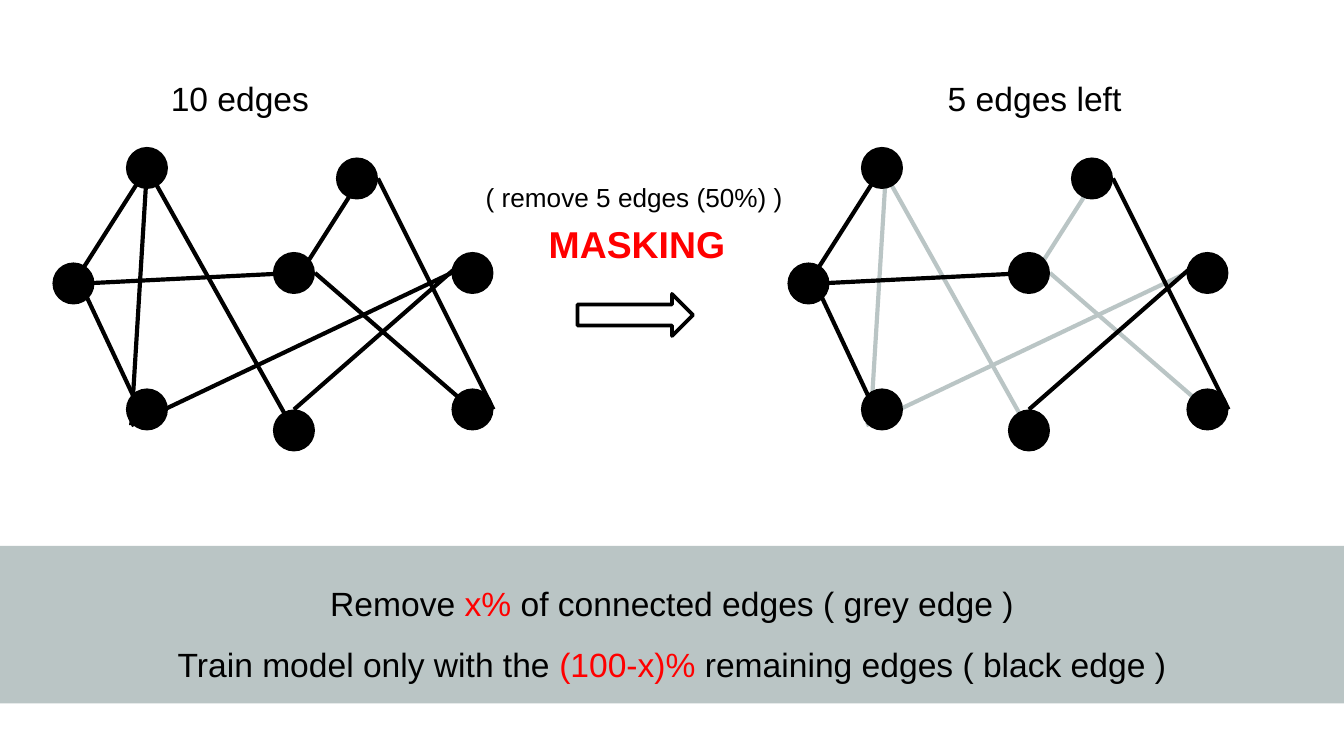
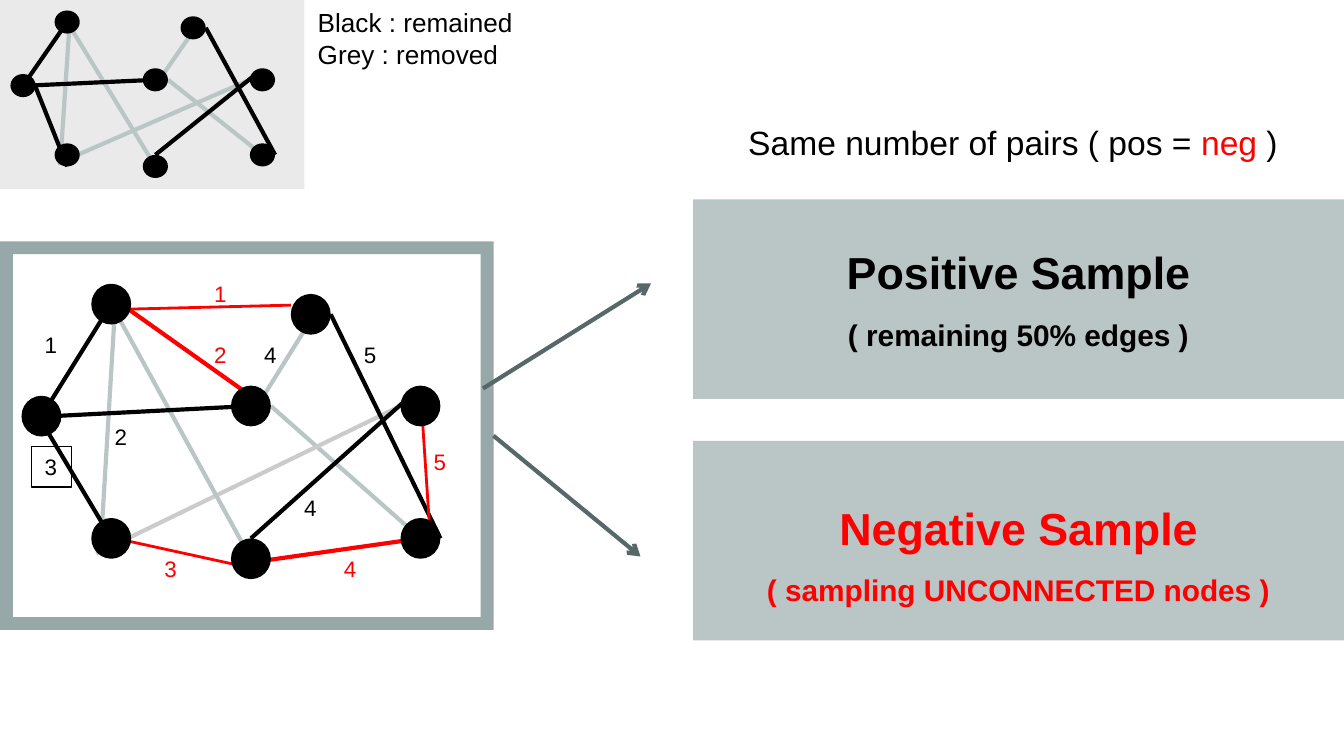
from lxml import etree
from pptx import Presentation
from pptx import util as u
from pptx.dml.color import RGBColor
from pptx.enum import shapes, text
from pptx.oxml import ns

COLORS = {
    "black": "000000", "red": "FF0000", "grey": "BAC5C5", "light": "CBCBCB",
    "panel": "EAEAEA", "frame": "97A8A8", "arrow": "576868",
}
COLUMNS, ROWS = 128, 72
NODE_SIZE = 4

# Graph: left and top of each node, then the ends of each edge, in grid units
NODES = {
    "A": (12, 14), "B": (12, 37), "C": (43, 37), "D": (43, 24),
    "E": (26, 24), "F": (26, 39), "G": (5, 25), "H": (32, 15),
}
EDGES = {
    "AB": (14, 16, 12.5, 40.5), "EC": (30, 26, 45, 39),
    "DB": (43, 26, 12.5, 40.5), "AG": (14, 16, 7, 27),
    "HE": (35, 16, 28, 27), "DF": (44, 25, 28, 39),
    "HC": (36, 17, 47, 39), "AF": (14, 16, 28, 41),
    "GE": (8, 27, 28, 26), "GB": (7, 25.6, 14, 40.5),
}
MASKED_EDGES = EDGES | {"AB": (14.4, 16, 12.9, 40.5)}
REMOVED = dict.fromkeys(["AB", "EC", "DB", "HE", "AF"], "grey")

# Sampled pairs of unconnected nodes: ends and line width
NEGATIVE_PAIRS = [
    (15.4, 16.5, 32, 16.1, 1.5), (27.4, 24.6, 14, 15.3, 2.25),
    (15.4, 39.2, 28, 41.9, 1.5), (45, 39, 27, 41.5, 2.25),
    (45.1, 26, 46, 39.2, 1.5),
]
PAIR_LABELS = {
    "black": [("1", 6, 18), ("2", 13, 27), ("3", 6, 30),
              ("4", 28, 19), ("4", 32, 34), ("5", 38, 19)],
    "red": [("1", 23, 13), ("2", 23, 19), ("3", 18, 40),
            ("4", 36, 40), ("5", 45, 29.5)],
}


class Sketch:
    """Holds the style and the slide being drawn."""

    font = "Arial"

    def __init__(self):
        self.deck = Presentation()
        self.deck.slide_width = u.Inches(10)
        self.deck.slide_height = u.Inches(5.625)
        self.page = None

    def new_page(self):
        self.page = self.deck.slides.add_slide(self.deck.slide_layouts[6])

    def across(self, columns):
        return round(self.deck.slide_width * columns / COLUMNS)

    def down(self, rows):
        return round(self.deck.slide_height * rows / ROWS)

    def area(self, left, top, width, height):
        return (self.across(left), self.down(top),
                self.across(width), self.down(height))

    @staticmethod
    def color(name):
        return RGBColor.from_string(COLORS[name])

    def shape(self, kind, place, fill=None, line=None, width=1.0):
        shape = self.page.shapes.add_shape(kind, *self.area(*place))
        shape.shadow.inherit = False
        if fill:
            shape.fill.solid()
            shape.fill.fore_color.rgb = self.color(fill)
        else:
            shape.fill.background()
        if line:
            shape.line.color.rgb = self.color(line)
            shape.line.width = u.Pt(width)
        else:
            shape.line.fill.background()
        return shape

    def panel(self, place, fill):
        return self.shape(shapes.MSO_SHAPE.RECTANGLE, place, fill)

    def line(self, ends, color="black", width=2.25, arrow=False):
        left, top, right, bottom = ends
        line = self.page.shapes.add_connector(
            shapes.MSO_CONNECTOR.STRAIGHT, self.across(left), self.down(top),
            self.across(right), self.down(bottom))
        line.line.color.rgb = self.color(color)
        line.line.width = u.Pt(width)
        properties = line._element.spPr
        if arrow:
            etree.SubElement(properties.find(ns.qn("a:ln")),
                             ns.qn("a:tailEnd"), type="arrow")
        etree.SubElement(properties, ns.qn("a:effectLst"))

    def fill_text(self, frame, lines, sizes, bold=False, spacing=None,
                  align=text.PP_ALIGN.LEFT):
        """Each line is a list of (words, color) spans."""
        frame.word_wrap = True
        for index, (spans, size) in enumerate(zip(lines, sizes)):
            para = frame.add_paragraph() if index else frame.paragraphs[0]
            para.alignment = align
            if spacing:
                para.line_spacing = spacing
            for words, color in spans:
                span = para.add_run()
                span.text = words
                span.font.name = self.font
                span.font.size = u.Pt(size)
                span.font.bold = bold
                span.font.color.rgb = self.color(color)

    def label(self, place, lines, size, **style):
        box = self.page.shapes.add_textbox(*self.area(*place))
        box.text_frame.vertical_anchor = text.MSO_ANCHOR.TOP
        self.fill_text(box.text_frame, lines, [size] * len(lines), **style)
        return box

    def sample(self, top, heading, detail, color, bottom_margin=0.05):
        box = self.panel((66, top, 62, 19), "grey")
        frame = box.text_frame
        frame.vertical_anchor = text.MSO_ANCHOR.MIDDLE
        frame.margin_bottom = u.Inches(bottom_margin)
        self.fill_text(frame, [[(heading, color)], [(detail, color)]],
                       [24, 16], bold=True, spacing=1.5,
                       align=text.PP_ALIGN.CENTER)

    def graph(self, edges, removed, offset, scale=(1, 1), pairs=()):
        (dx, dy), (sx, sy) = offset, scale

        def fit(x, y):
            return dx + x * sx, dy + y * sy

        # Removed edges lie below the remaining ones
        for name in sorted(edges, key=lambda name: name not in removed):
            x1, y1, x2, y2 = edges[name]
            self.line(fit(x1, y1) + fit(x2, y2), removed.get(name, "black"))
        for x1, y1, x2, y2, width in pairs:
            self.line(fit(x1, y1) + fit(x2, y2), "red", width)
        for corner in NODES.values():
            self.shape(shapes.MSO_SHAPE.OVAL,
                       fit(*corner) + (NODE_SIZE * sx, NODE_SIZE * sy), "black")


def masking_page(sketch):
    sketch.new_page()

    # Graph before and after masking
    sketch.graph(EDGES, {}, (0, 0))
    sketch.graph(MASKED_EDGES, REMOVED, (70, 0))
    for left, words in ((15, "10 edges"), (89, "5 edges left")):
        sketch.label((left, 6.8, 21, 5.1), [[(words, "black")]], 18)

    # Masking step
    sketch.label((45, 16.6, 31, 4.4),
                 [[("( remove 5 edges (50%) )", "black")]], 14)
    sketch.label((51, 20.4, 23, 5.6), [[("MASKING", "red")]], 20, bold=True)
    sketch.shape(shapes.MSO_SHAPE.RIGHT_ARROW, (55, 28, 11, 4),
                 line="black", width=2)

    # Summary band
    sketch.panel((0, 52, COLUMNS, 15), "grey")
    sketch.label((0, 53, COLUMNS, 13), [
        [("Remove ", "black"), ("x%", "red"),
         (" of connected edges ( grey edge )", "black")],
        [("Train model only with the ", "black"), ("(100-x)%", "red"),
         (" remaining edges ( black edge )", "black")],
    ], 18, spacing=1.5, align=text.PP_ALIGN.CENTER)


def sampling_page(sketch):
    sketch.new_page()

    # Small masked graph with its legend
    sketch.panel((0, 0, 29, 18), "panel")
    sketch.graph(MASKED_EDGES | {"GB": (8.9, 27, 14, 41)}, REMOVED,
                 (-2, -6.7), (0.6, 0.55))
    sketch.label((29, 0, 27, 7.3), [[("Black : remained", "black")],
                                    [("Grey : removed", "black")]], 14)

    # Framed graph with numbered pairs
    (dx, dy), (sx, sy) = offset, scale = (-2.7, 13.45), (0.95, 0.97)
    sketch.graph(MASKED_EDGES | {"GB": (7, 27.5, 14, 39)},
                 REMOVED | {"DB": "light"}, offset, scale, NEGATIVE_PAIRS)
    for color, labels in PAIR_LABELS.items():
        for number, x, y in labels:
            box = sketch.label((dx + x * sx, dy + y * sy, 3.85, 3.85),
                               [[(number, color)]], 12)
            if (number, color) == ("3", "black"):
                box.line.color.rgb = sketch.color("black")
                box.line.width = u.Pt(0.75)
    frame = sketch.shape(shapes.MSO_SHAPE.FRAME, (0, 23, 47, 37), "frame")
    frame.adjustments[0] = 0.033

    # Samples drawn from the graph
    sketch.line((46, 37, 62, 27), "arrow", arrow=True)
    sketch.line((47, 41.5, 61, 53), "arrow", arrow=True)
    sketch.label((70, 11, 53, 5.1), [
        [("Same number of pairs ( pos = ", "black"), ("neg", "red"),
         (" )", "black")]], 18)
    sketch.sample(19, "Positive Sample", "( remaining 50% edges )", "black",
                  bottom_margin=0.26)
    sketch.sample(42, "Negative Sample", "( sampling UNCONNECTED nodes )",
                  "red")


def main():
    sketch = Sketch()
    masking_page(sketch)
    sampling_page(sketch)
    sketch.deck.save("out.pptx")


if __name__ == "__main__":
    main()
